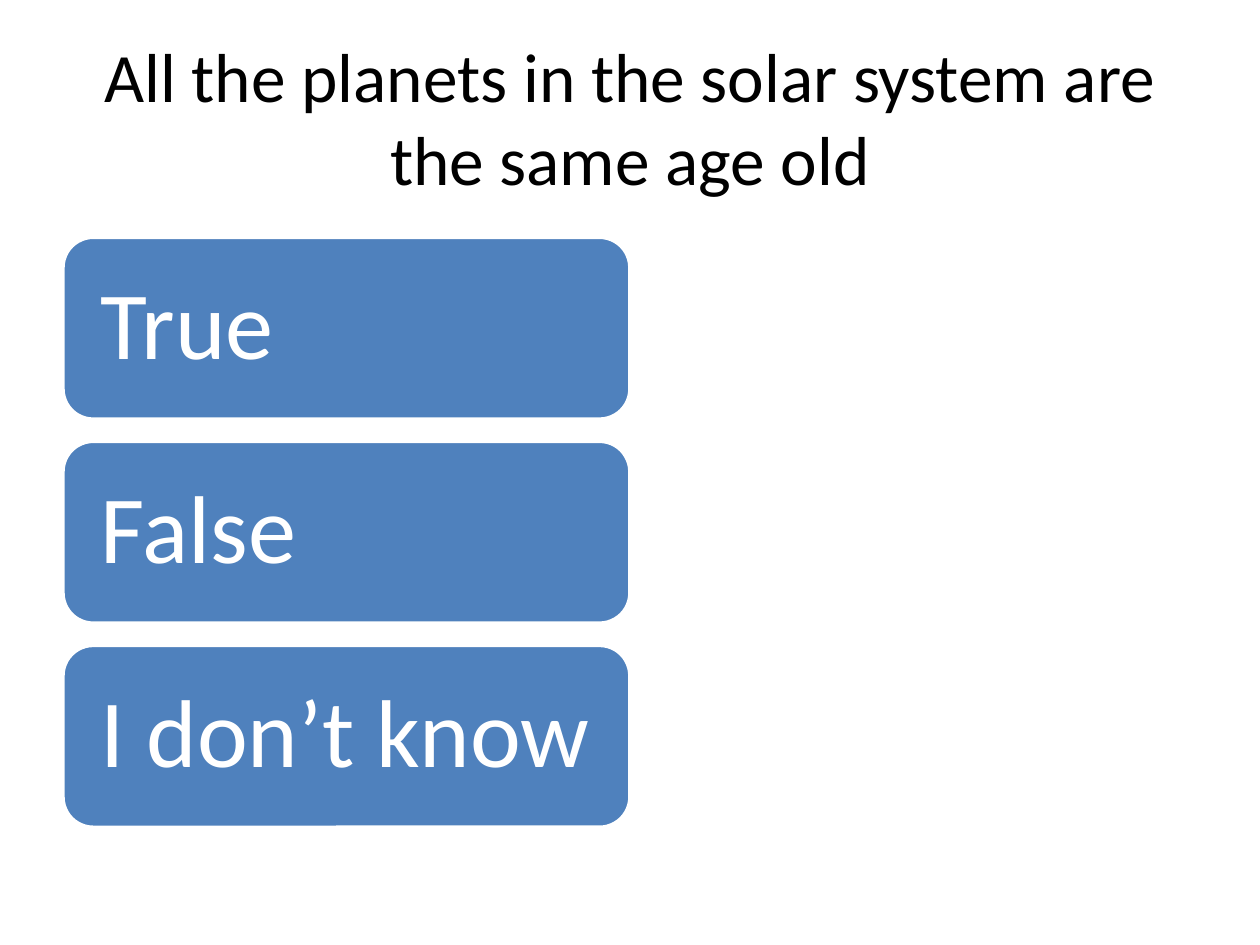
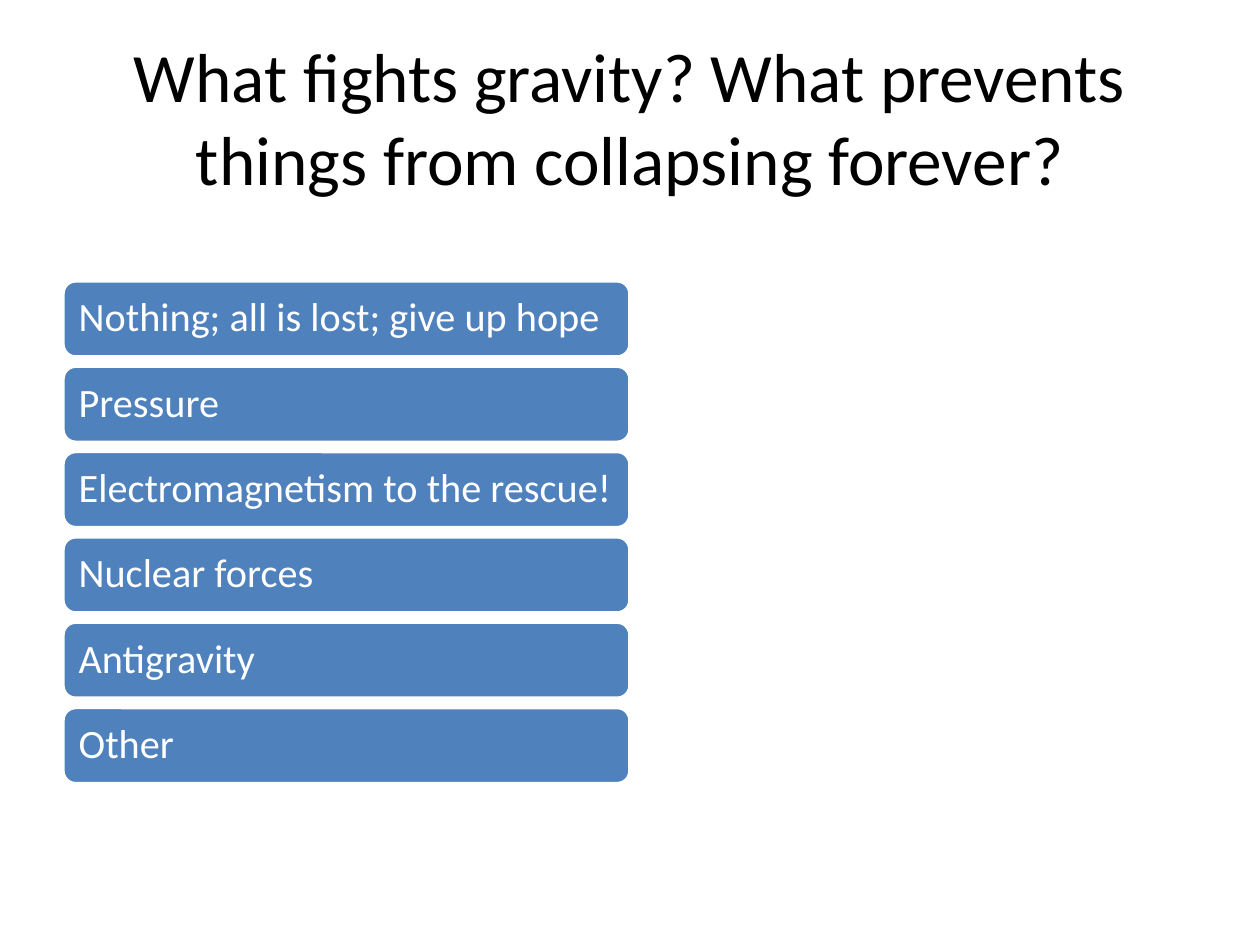
import dataclasses

import pptx
import pptx.dml.color
import pptx.enum.shapes
import pptx.enum.text
import pptx.util

Cm = pptx.util.Cm
Align = pptx.enum.text.PP_ALIGN
CM_PER_PT = 2.54 / 72


@dataclasses.dataclass(frozen=True)
class Theme:
    font: str = "Calibri"
    ink: str = "000000"
    paper: str = "FFFFFF"
    accent: str = "4F81BD"
    title_size: float = 39.6
    large_answer: float = 55
    small_answer: float = 23


def color(hex_code):
    return pptx.dml.color.RGBColor.from_string(hex_code)


def write(frame, text, *, font, size, ink, align=Align.LEFT, spacing=1.0):
    """Fill a text frame with one vertically centred paragraph."""
    frame.word_wrap = True
    frame.vertical_anchor = pptx.enum.text.MSO_ANCHOR.MIDDLE
    paragraph = frame.paragraphs[0]
    paragraph.alignment = align
    paragraph.line_spacing = spacing
    run = paragraph.add_run()
    run.text = text
    run.font.name = font
    run.font.size = pptx.util.Pt(size)
    run.font.color.rgb = color(ink)


class QuizDeck:
    left = 1.27
    answer_width = 11.43
    answers_middle = 10.73

    def __init__(self, theme):
        self.theme = theme
        self.deck = pptx.Presentation()
        self.deck.slide_width = Cm(25.4)
        self.deck.slide_height = Cm(19.05)
        self.slide = None

    def new_slide(self):
        self.slide = self.deck.slides.add_slide(self.deck.slide_layouts[6])
        fill = self.slide.background.fill
        fill.solid()
        fill.fore_color.rgb = color(self.theme.paper)

    def question(self, text):
        box = self.slide.shapes.add_textbox(
            Cm(self.left), Cm(0.76), Cm(22.86), Cm(3.18))
        write(box.text_frame, text, font=self.theme.font,
              size=self.theme.title_size, ink=self.theme.ink,
              align=Align.CENTER)

    def answer(self, text, top, height, size):
        bar = self.slide.shapes.add_shape(
            pptx.enum.shapes.MSO_SHAPE.ROUNDED_RECTANGLE,
            Cm(self.left), Cm(top), Cm(self.answer_width), Cm(height))
        bar.shadow.inherit = False
        bar.fill.solid()
        bar.fill.fore_color.rgb = color(self.theme.accent)
        bar.line.color.rgb = color(self.theme.paper)
        bar.line.width = pptx.util.Pt(2)
        frame = bar.text_frame
        inset = Cm(0.3 * size * CM_PER_PT)
        frame.margin_left = frame.margin_right = inset
        frame.margin_top = frame.margin_bottom = inset
        write(frame, text, font=self.theme.font, size=size,
              ink=self.theme.paper, spacing=0.9)

    def answers(self, choices, size):
        """Stack the answers around a fixed middle, scaled by type size."""
        em = size * CM_PER_PT
        height, gap = 1.89 * em, 0.23 * em
        pitch = height + gap
        first_top = self.answers_middle - (len(choices) * pitch - gap) / 2
        for row, choice in enumerate(choices):
            self.answer(choice, first_top + row * pitch, height, size)


def main():
    theme = Theme()
    quiz = QuizDeck(theme)

    # Age of the planets
    quiz.new_slide()
    quiz.question("All the planets in the solar system are the same age old")
    quiz.answers(["True", "False", "I don’t know"], theme.large_answer)

    # What resists gravity
    quiz.new_slide()
    quiz.question("What fights gravity? What prevents things from "
                  "collapsing forever?")
    quiz.answers([
        "Nothing; all is lost; give up hope",
        "Pressure",
        "Electromagnetism to the rescue!",
        "Nuclear forces",
        "Antigravity",
        "Other",
    ], theme.small_answer)

    quiz.deck.save("out.pptx")


if __name__ == "__main__":
    main()
